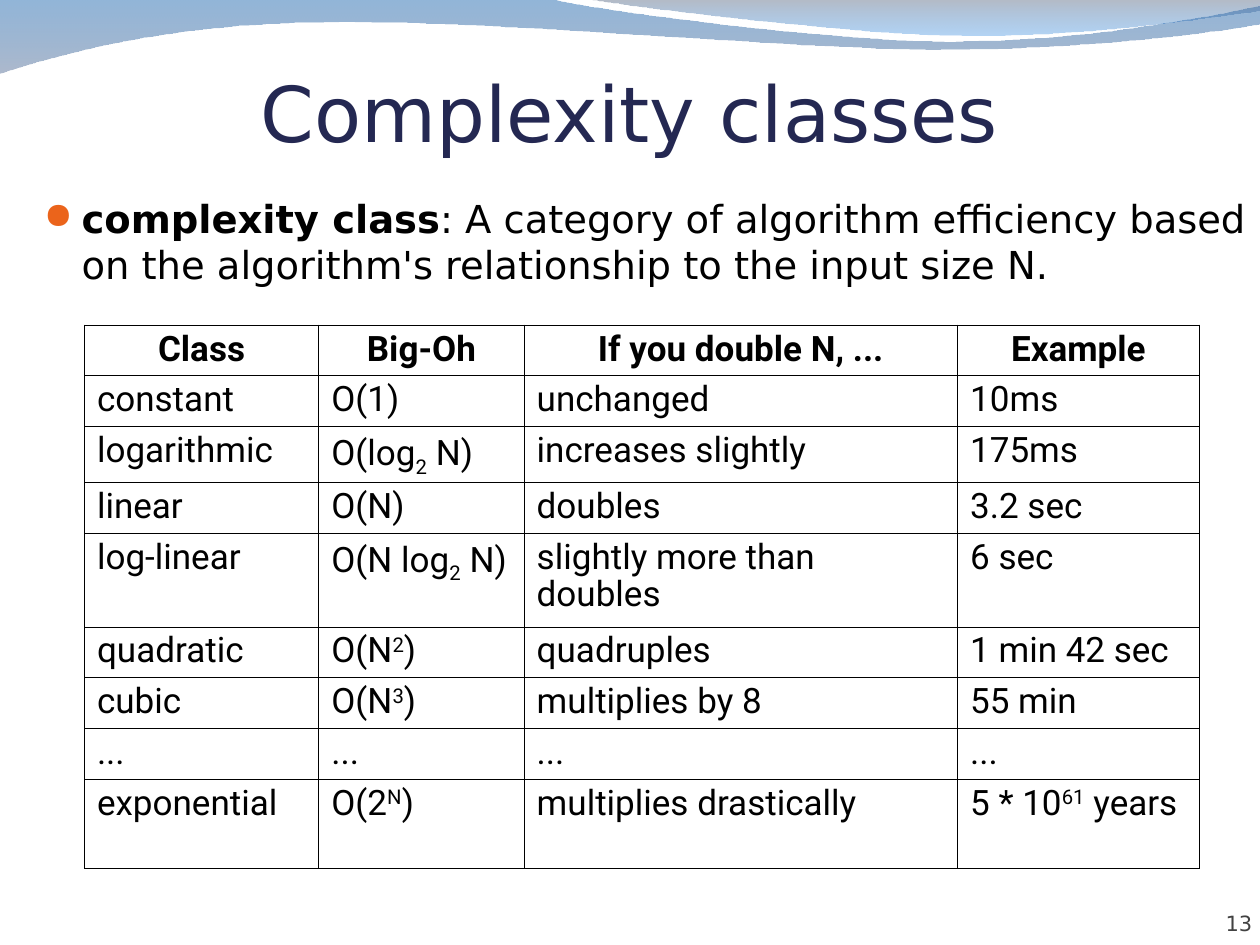
from pptx import Presentation
from pptx import util as u
from pptx.dml import color as dml
from pptx.enum import text
from pptx.oxml import parse_xml
from pptx.oxml.ns import nsdecls

Inches = u.Inches
DEJAVU, ROBOTO = "DejaVu Sans", "Roboto"
BLACK = "000000"
NS = nsdecls("a")


def rgb(value):
    return dml.RGBColor.from_string(value)


def add_span(para, content, font=DEJAVU, size=20, color=BLACK, bold=False, baseline=0):
    """Add one formatted run; baseline is a percentage, negative for a subscript."""
    span = para.add_run()
    span.text = content
    span.font.name, span.font.size, span.font.bold = font, u.Pt(size), bold
    span.font.color.rgb = rgb(color)
    if baseline:
        span.font._element.set("baseline", str(baseline * 1000))


deck = Presentation()
deck.slide_width, deck.slide_height = Inches(10), Inches(7.5)
page = deck.slides.add_slide(deck.slide_layouts[5])

# Waves along the top edge: a one-point step is a line, a three-point step a Bézier curve.
# Each gradient stop is (colour, opacity in percent), from top to bottom.
waves = [
    ((0, 0),
     [[(4.4, 0)],
      [(4.76, 0.09), (6.64, 0.33), (7.58, 0.33)],
      [(8.53, 0.33), (9.58, 0.14), (10, 0.05)],
      [(10.01, 0.19)],
      [(9.83, 0.23), (8.7, 0.39), (7.46, 0.39)],
      [(6.22, 0.39), (3.82, 0.15), (2.57, 0.18)],
      [(1.29, 0.19), (0.46, 0.43), (-0.01, 0.58)]],
     [("0E5CA9", 45), ("687FA3", 55)]),
    ((4.67, 0),
     [[(4.98, 0.05), (6.74, 0.27), (7.63, 0.28)],
      [(8.52, 0.3), (9.61, 0.14), (10, 0.09)],
      [(10, 0)]],
     [("576680", 45), ("046FDA", 30)]),
]
for start, steps, stops in waves:
    builder = page.shapes.build_freeform(Inches(start[0]), Inches(start[1]))
    builder.add_line_segments([(Inches(x), Inches(y)) for x, y in
                               (step[-1] for step in steps)], close=True)
    wave = builder.convert_to_shape()
    for segment, step in zip(wave._element.xpath(".//a:lnTo"), steps):
        if len(step) == 3:
            points = "".join(f'<a:pt x="{Inches(x) - wave.left}" y="{Inches(y) - wave.top}"/>'
                             for x, y in step)
            curve = parse_xml(f"<a:cubicBezTo {NS}>{points}</a:cubicBezTo>")
            segment.getparent().replace(segment, curve)
    wave.shadow.inherit = False
    wave.line.fill.background()
    wave.fill.gradient()
    wave.fill.gradient_angle = 270
    for stop, (color, _) in zip(wave.fill.gradient_stops, stops):
        stop.color.rgb = rgb(color)
    for node, (_, opacity) in zip(wave._element.xpath(".//a:gs/a:srgbClr"), stops):
        node.append(parse_xml(f'<a:alpha {NS} val="{opacity * 1000}"/>'))

# Page number
box = page.shapes.add_textbox(Inches(9.11), Inches(7.03), Inches(0.83), Inches(0.4))
frame = box.text_frame
frame.word_wrap = True
frame.vertical_anchor = text.MSO_ANCHOR.BOTTOM
frame.margin_left = frame.margin_right = frame.margin_top = frame.margin_bottom = 0
frame.paragraphs[0].alignment = text.PP_ALIGN.RIGHT
add_span(frame.paragraphs[0], "13", size=12, color="424242")

# Title
title = page.shapes.title
title.left, title.top, title.width, title.height = map(Inches, (0.5, 0.48, 9, 0.77))
frame = title.text_frame
frame.auto_size = text.MSO_AUTO_SIZE.NONE
frame.vertical_anchor = text.MSO_ANCHOR.BOTTOM
frame.margin_left = frame.margin_right = frame.margin_bottom = 0
frame.margin_top = Inches(0.05)
frame.paragraphs[0].alignment = text.PP_ALIGN.CENTER
add_span(frame.paragraphs[0], "Complexity classes", size=44, color="242852")

# Definition
box = page.shapes.add_textbox(Inches(0.25), Inches(1.5), Inches(9.75), Inches(5.67))
box.text_frame.word_wrap = True
para = box.text_frame.paragraphs[0]
para.space_before = u.Pt(5.5)
bullet = para._p.get_or_add_pPr()
bullet.set("marL", str(Inches(0.3)))
bullet.set("indent", str(Inches(-0.3)))
for part in (f'<a:buClr {NS}><a:srgbClr val="EB641B"/></a:buClr>',
             f'<a:buSzPct {NS} val="95000"/>',
             f'<a:buFont {NS} typeface="OpenSymbol"/>',
             f'<a:buChar {NS} char="●"/>'):
    bullet.append(parse_xml(part))
add_span(para, "complexity class", size=22, bold=True)
add_span(para, ": A category of algorithm efficiency based on the algorithm's "
               "relationship to the input size N.", size=22)

# Table: row heights are in points; "|" separates spans,
# "^" starts a superscript and "_" a subscript.
rows = [
    (29, "Class", "Big-Oh", "If you double N, ...", "Example"),
    (29, "constant", "O(1)", "unchanged", "10ms"),
    (32, "logarithmic", "O(log|_2| N)", "increases slightly", "175ms"),
    (29, "linear", "O(N)", "doubles", "3.2 sec"),
    (53.5, "log-linear", "O(N log|_2| N)", "slightly more than doubles", "6 sec"),
    (29, "quadratic", "O(N|^2|)", "quadruples", "1 min 42 sec"),
    (29, "cubic", "O(N|^3|)", "multiplies by 8", "55 min"),
    (29, "...", "...", "...", "..."),
    (51, "exponential", "O(2|^N|)", "multiplies drastically", "5 * 10|^61| years"),
]
widths = [1.86, 1.63, 3.44, 1.92]
baselines = {"^": 30, "_": -25}
table = page.shapes.add_table(len(rows), len(widths), Inches(0.67), Inches(2.58),
                              Inches(sum(widths)), u.Pt(sum(r[0] for r in rows))).table
table.first_row = table.horz_banding = False
for column, width in zip(table.columns, widths):
    column.width = Inches(width)
for r, (height, *entries) in enumerate(rows):
    table.rows[r].height = u.Pt(height)
    for c, entry in enumerate(entries):
        cell = table.cell(r, c)
        borders = cell._tc.get_or_add_tcPr()
        for side in "LRTB":
            borders.append(parse_xml(
                f'<a:ln{side} {NS} w="{u.Pt(0.45)}"><a:solidFill>'
                f'<a:srgbClr val="{BLACK}"/></a:solidFill></a:ln{side}>'))
        cell.fill.background()
        para = cell.text_frame.paragraphs[0]
        para.line_spacing = 0.9
        para.alignment = text.PP_ALIGN.LEFT if r else text.PP_ALIGN.CENTER
        for part in entry.split("|"):
            add_span(para, part.lstrip("^_"), font=ROBOTO, bold=r == 0,
                     baseline=baselines.get(part[0], 0))

deck.save("out.pptx")
